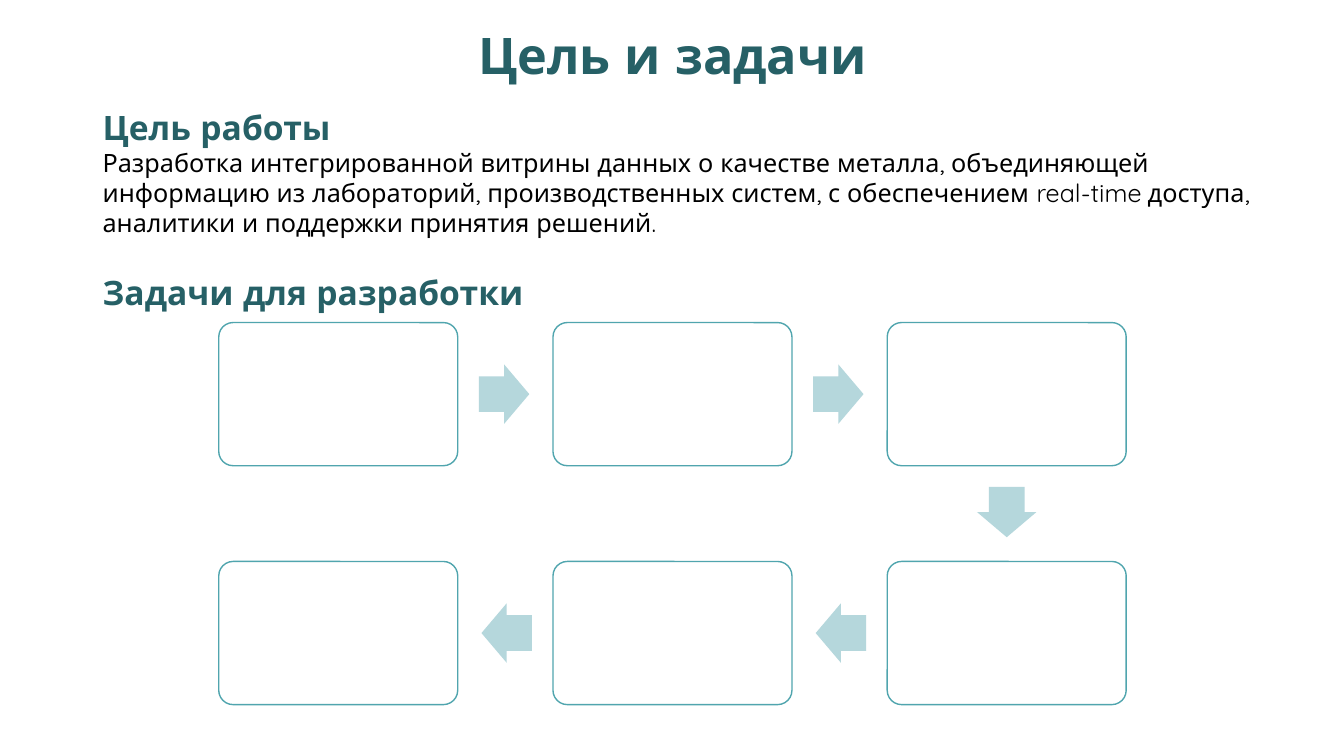
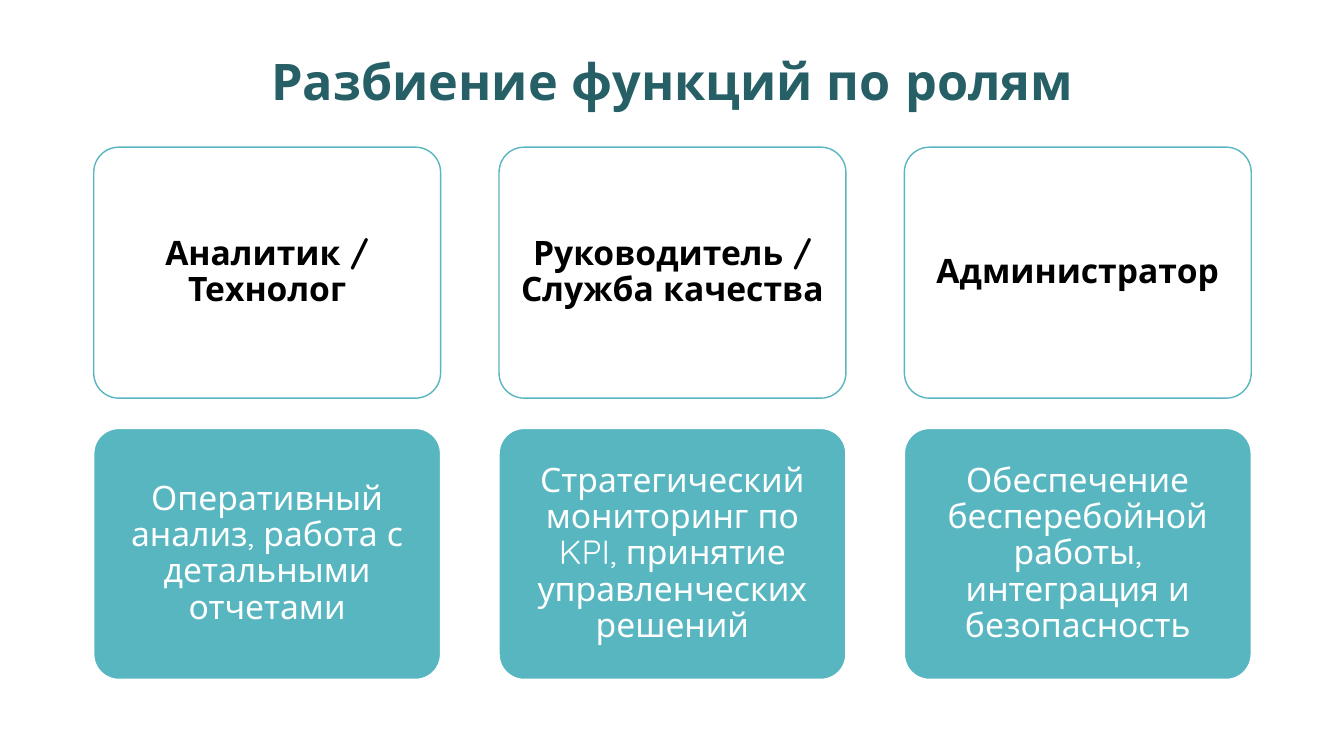
"""Build two slides: the goal with a six-step task flow, and functions by role."""
from math import atan2, degrees

from pptx import Presentation
from pptx.dml.color import RGBColor
from pptx.enum.shapes import MSO_SHAPE as SHAPE
from pptx.enum.text import MSO_ANCHOR as ANCHOR, PP_ALIGN as ALIGN
from pptx.util import Emu, Pt

PX = 9144
FONT = "Quicksand"
DARK_TEAL = RGBColor(0x26, 0x60, 0x66)
TEAL = RGBColor(0x58, 0xB6, 0xC0)
STEP_TEAL = RGBColor(0x50, 0xA5, 0xAE)
PALE_TEAL = RGBColor(0xB5, 0xD7, 0xDC)
WHITE = RGBColor(0xFF, 0xFF, 0xFF)
BLACK = RGBColor(0x00, 0x00, 0x00)

GOAL_TITLE = "Цель и задачи"
GOAL_HEADING = "Цель работы"
GOAL = (
    "Разработка интегрированной витрины данных о качестве металла, объединяющей "
    "информацию из лабораторий, производственных систем, с обеспечением real-time "
    "доступа, аналитики и поддержки принятия решений."
)
TASKS_HEADING = "Задачи для разработки"
TASK_CELLS = [(0, 0), (1, 0), (2, 0), (2, 1), (1, 1), (0, 1)]

ROLES_TITLE = "Разбиение функций по ролям"
ROLES = [
    ("Аналитик / Технолог", "Оперативный анализ, работа с детальными отчетами"),
    ("Руководитель / Служба качества",
     "Стратегический мониторинг по KPI, принятие управленческих решений"),
    ("Администратор", "Обеспечение бесперебойной работы, интеграция и безопасность"),
]

FLOW_LEFT, FLOW_RIGHT, FLOW_TOP, FLOW_BOTTOM = 217, 1117, 320, 699
TASK_W, TASK_H = 237, 142
ARROW_W, ARROW_H, ARROW_GAP = 50, 59, 21
CARD_LEFT, CARD_TOP, CARD_W, CARD_H = 93, 146, 344, 249
CARD_STEP_X, CARD_STEP_Y, CARD_INSET = 402, 279, 10


def px(*lengths):
    return [Emu(round(length * PX)) for length in lengths]


def style(paragraph, size, color, bold=False, align=ALIGN.LEFT, spacing=None):
    paragraph.alignment = align
    paragraph.line_spacing = spacing
    for run in paragraph.runs:
        font = run.font
        font.name, font.size, font.bold = FONT, Pt(size), bold
        font.color.rgb = color


def add_text(slide, box, lines):
    frame = slide.shapes.add_textbox(*px(*box)).text_frame
    frame.word_wrap = True
    frame.text = "\n".join(text for text, _ in lines)
    for paragraph, (_, look) in zip(frame.paragraphs, lines):
        style(paragraph, **look)
    return frame


def add_title(slide, text, top, height):
    look = dict(size=36, color=DARK_TEAL, bold=True, align=ALIGN.CENTER, spacing=0.9)
    frame = add_text(slide, (92, top, 1150, height), [(text, look)])
    frame.vertical_anchor = ANCHOR.MIDDLE


def add_figure(slide, kind, box, fill, line=None):
    figure = slide.shapes.add_shape(kind, *px(*box))
    figure.shadow.inherit = False
    figure.fill.solid()
    figure.fill.fore_color.rgb = fill
    if line is None:
        figure.line.fill.background()
    else:
        figure.line.color.rgb = line
        figure.line.width = Pt(1)
    return figure


def add_rounded(slide, box, fill, line):
    rounded = add_figure(slide, SHAPE.ROUNDED_RECTANGLE, box, fill, line)
    rounded.adjustments[0] = 0.1
    return rounded


def add_card(slide, column, row, text, fill, line, color, bold):
    box = (CARD_LEFT + column * CARD_STEP_X, CARD_TOP + row * CARD_STEP_Y, CARD_W, CARD_H)
    frame = add_rounded(slide, box, fill, line).text_frame
    frame.word_wrap = True
    frame.vertical_anchor = ANCHOR.MIDDLE
    inset, = px(CARD_INSET)
    frame.margin_left = frame.margin_right = inset
    frame.margin_top = frame.margin_bottom = inset
    frame.text = text
    style(frame.paragraphs[0], 24, color, bold, ALIGN.CENTER, 0.9)


def add_task_flow(slide):
    step_x = (FLOW_RIGHT - FLOW_LEFT - TASK_W) / 2
    step_y = FLOW_BOTTOM - FLOW_TOP - TASK_H
    for index, (column, row) in enumerate(TASK_CELLS):
        left, top = FLOW_LEFT + column * step_x, FLOW_TOP + row * step_y
        add_rounded(slide, (left, top, TASK_W, TASK_H), WHITE, STEP_TEAL)
        if index + 1 == len(TASK_CELLS):
            break
        next_column, next_row = TASK_CELLS[index + 1]
        dx, dy = next_column - column, next_row - row
        reach = ARROW_GAP + ARROW_W / 2
        center_x = left + TASK_W / 2 + dx * (TASK_W / 2 + reach)
        center_y = top + TASK_H / 2 + dy * (TASK_H / 2 + reach)
        arrow_box = (center_x - ARROW_W / 2, center_y - ARROW_H / 2, ARROW_W, ARROW_H)
        arrow = add_figure(slide, SHAPE.RIGHT_ARROW, arrow_box, PALE_TEAL)
        arrow.adjustments[0], arrow.adjustments[1] = 0.6, 0.5
        arrow.rotation = degrees(atan2(dy, dx))


def build_goal(slide):
    heading = dict(size=24, color=DARK_TEAL, bold=True)
    add_title(slide, GOAL_TITLE, -2, 119)
    add_text(slide, (92, 101, 1196, 141),
             [(GOAL_HEADING, heading), (GOAL, dict(size=18, color=BLACK))])
    add_text(slide, (92, 269, 1150, 65), [(TASKS_HEADING, dict(heading, spacing=0.9))])
    add_task_flow(slide)


def build_roles(slide):
    add_title(slide, ROLES_TITLE, 11, 145)
    for column, (role, duties) in enumerate(ROLES):
        add_card(slide, column, 0, role, WHITE, TEAL, BLACK, True)
        add_card(slide, column, 1, duties, TEAL, WHITE, WHITE, False)


def main():
    deck = Presentation()
    deck.slide_width, deck.slide_height = px(1333, 750)
    blank = deck.slide_layouts[6]
    for build in (build_goal, build_roles):
        build(deck.slides.add_slide(blank))
    deck.save("out.pptx")


if __name__ == "__main__":
    main()
